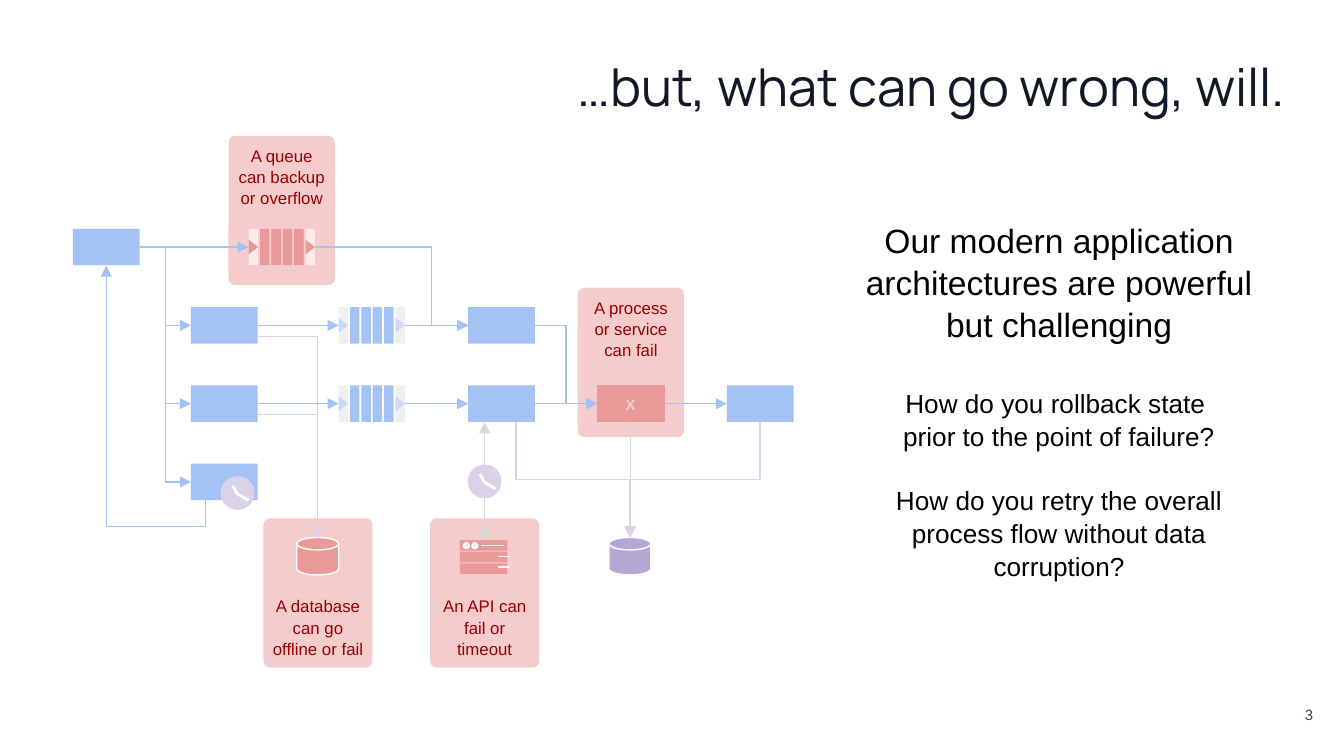
from lxml.etree import SubElement
from pptx import Presentation
from pptx.dml.color import RGBColor
from pptx.enum.shapes import MSO_CONNECTOR as LINK, MSO_SHAPE as SHAPE
from pptx.enum.text import MSO_ANCHOR as ANCHOR, PP_ALIGN as ALIGN
from pptx.oxml.ns import qn
from pptx.util import Cm, Pt

BLUE, LILAC, RED, PINK, WHITE = "A4C2F4", "D9D2E9", "EA9999", "F4CCCC", "FFFFFF"

deck = Presentation()
deck.slide_width, deck.slide_height = Cm(25.4), Cm(14.29)
page = deck.slides.add_slide(deck.slide_layouts[1])


def color(target, value):
    """Colour a font, a fill or a line from a hex string."""
    if hasattr(target, "solid"):
        target.solid()
        target = target.fore_color
    else:
        target = target.color
    target.rgb = RGBColor.from_string(value)


def write(frame, text, size, ink, font="Arial", align=ALIGN.CENTER, anchor=ANCHOR.TOP,
          inset=0.25, bold=False, before=0, spacing=1.05, new=False):
    """Add one formatted paragraph to a text frame."""
    frame.word_wrap = True
    frame.vertical_anchor = anchor
    frame.margin_left = frame.margin_right = Cm(inset)
    frame.margin_top = frame.margin_bottom = Cm(inset)
    para = frame.add_paragraph() if new else frame.paragraphs[0]
    para.text = text
    para.alignment, para.line_spacing = align, spacing
    para.space_before = Pt(before)
    for span in para.runs:
        span.font.name, span.font.size, span.font.bold = font, Pt(size), bold
        color(span.font, ink)
    return para


# Title
title = page.shapes.title
title.left, title.top, title.width, title.height = Cm(8.36), Cm(0.81), Cm(16.18), Cm(1.6)
write(title.text_frame, "…but, what can go wrong, will.", 28, "111827", font="Manrope",
      align=ALIGN.RIGHT, anchor=ANCHOR.MIDDLE, spacing=1)

# Questions on the right
body = page.placeholders[1]
body.left, body.top, body.width, body.height = Cm(15.8), Cm(3.86), Cm(8.43), Cm(7.19)
questions = [
    ("Our modern application architectures are powerful but challenging", 18, 0),
    ("How do you rollback state \vprior to the point of failure?", 14, 22),
    ("How do you retry the overall process flow without data corruption?", 14, 17),
]
for index, (text, size, before) in enumerate(questions):
    para = write(body.text_frame, text, size, "000000", before=before, new=index > 0)
    properties = para._p.get_or_add_pPr()
    properties.set("marL", "0")
    properties.set("indent", "0")
    SubElement(properties, qn("a:buNone"))

# Page number
number = page.shapes.add_textbox(Cm(23.55), Cm(12.95), Cm(1.52), Cm(1.09))
write(number.text_frame, "3", 8, "394956", align=ALIGN.RIGHT, anchor=ANCHOR.MIDDLE)

# Diagram grid
box_width, box_height = 1.26, 0.69
columns = [1.38, 3.61, 8.85, 11.29, 13.74]
rights = [left + box_width for left in columns]
rows = [4.67 + 1.48 * step for step in range(4)]
queues = [(4.7, rows[0], RED, "FFEAEA", RED),
          (6.4, rows[1], BLUE, "EFEFEF", "C9DAF8"),
          (6.4, rows[2], BLUE, "EFEFEF", "C9DAF8")]
disks = [(11.51, "B4A7D6"), (5.61, RED)]
clocks = [(8.84, 8.78), (4.17, 9.0)]
slat_width, slat_step = 0.18, 0.215

# Failure panels
panels = [
    (8.13, 9.8, 2.06, "An API can fail or timeout", ANCHOR.BOTTOM),
    (4.98, 9.8, 2.06, "A database can go offline or fail", ANCHOR.BOTTOM),
    (10.92, 5.44, 2.01, "A process or service can fail", ANCHOR.TOP),
    (4.32, 2.57, 2.01, "A queue can backup or overflow", ANCHOR.TOP),
]
shapes = []  # (kind, left, top, width, height, fill, outline)
for left, top, width, text, anchor in panels:
    panel = page.shapes.add_shape(SHAPE.ROUNDED_RECTANGLE, Cm(left), Cm(top), Cm(width), Cm(2.82))
    panel.adjustments[0] = 0.06
    panel.shadow.inherit = False
    color(panel.fill, PINK)
    panel.line.fill.background()
    write(panel.text_frame, text, 9, "990000", anchor=anchor, inset=0.13)

# Process boxes, databases, queues, server and clock faces
for column, row in [(0, 0), (1, 1), (1, 2), (1, 3), (2, 1), (2, 2), (3, 2), (4, 2)]:
    failing = column == 3
    shapes.append((SHAPE.RECTANGLE, columns[column], rows[row] - box_height / 2, box_width,
                   box_height, RED if failing else BLUE, RED if failing else None))
for left, fill in disks:
    shapes.append((SHAPE.FLOWCHART_MAGNETIC_DISK, left, 10.16, 0.79, 0.71, fill, WHITE))
for left, middle, slat, cap, tip in queues:
    for step in range(6):
        shapes.append((SHAPE.RECTANGLE, left + step * slat_step, middle - box_height / 2,
                       slat_width, box_height, cap if step in (0, 5) else slat, None))
    for step in (0, 5):
        center = left + step * slat_step + slat_width / 2
        shapes.append((SHAPE.ISOSCELES_TRIANGLE, center - 0.14, middle - 0.09,
                       0.28, 0.18, tip, None))
for step in range(3):
    shapes.append((SHAPE.RECTANGLE, 8.69, 10.21 + 0.22 * step, 0.9, 0.2, RED, None))
for left in (8.76, 8.92):
    shapes.append((SHAPE.OVAL, left, 10.26, 0.11, 0.11, "EEEEEE", WHITE))
for left, top in clocks:
    shapes.append((SHAPE.OVAL, left, top, 0.64, 0.64, LILAC, None))

# Connections: start, end, colour, then route options
links = [((rights[0], rows[0]), (queues[0][0], rows[0]), BLUE, {}),
         ((rights[3], rows[2]), (columns[4], rows[2]), BLUE, {}),
         ((rights[2], rows[1]), (columns[3], rows[2]), BLUE, {"bend": 0.5}),
         ((rights[2], rows[2]), (columns[3], rows[2]), BLUE, {}),
         ((5.96, rows[0]), (columns[2], rows[1]), BLUE, {"bend": 0.76}),
         ((11.91, 7.98), (11.91, 10.16), LILAC, {}),
         ((9.75, 7.98), (11.91, 10.16), LILAC, {"bend": 0.5, "turned": True}),
         ((14.36, 7.98), (11.91, 10.16), LILAC, {"bend": 0.5, "turned": True}),
         ((9.16, 7.98), (9.16, 10.21), "D9D9D9", {"both": True}),
         ((3.89, 9.46), (2.01, 5.02), BLUE, {"bend": -0.11, "turned": True})]
for row in rows[1:]:
    links.append(((rights[0], rows[0]), (columns[1], row), BLUE, {"bend": 0.5}))
for row in rows[1:3]:
    links.append(((rights[1], row), (6.4, row), BLUE, {}))
    links.append(((7.66, row), (columns[2], row), BLUE, {}))
    links.append(((rights[1], row + 0.21), (6.0, 10.16), LILAC, {"corner": True}))

# White detail strokes of the server and the clock hands
for start, end in [((9.09, 10.31), (9.53, 10.31)), ((9.42, 10.52), (9.63, 10.52)),
                   ((9.42, 10.72), (9.63, 10.72))]:
    links.append((start, end, WHITE, {"plain": True}))
for left, top in clocks:
    for across, down in [(0.23, 0.18), (0.53, 0.46)]:
        links.append(((left + across, top + down), (left + 0.31, top + 0.33), WHITE,
                      {"plain": True, "weight": 1.5}))

# Draw the arrows beneath the clocks, the strokes above all shapes
arrows = [link for link in links if not link[3].get("plain")]
strokes = [link for link in links if link[3].get("plain")]
for item in shapes[:-len(clocks)] + arrows + shapes[-len(clocks):] + strokes:
    if len(item) == 7:
        kind, left, top, width, height, fill, outline = item
        shape = page.shapes.add_shape(kind, Cm(left), Cm(top), Cm(width), Cm(height))
        shape.shadow.inherit = False
        color(shape.fill, fill)
        if outline:
            color(shape.line, outline)
            shape.line.width = Pt(0.75)
        else:
            shape.line.fill.background()
        if kind == SHAPE.ISOSCELES_TRIANGLE:
            shape.rotation = 90
        if kind == SHAPE.RECTANGLE and outline:
            write(shape.text_frame, "X", 8, PINK, anchor=ANCHOR.MIDDLE, inset=0, bold=True)
        continue

    (x1, y1), (x2, y2), ink, route = item
    turn = 0
    if route.get("turned"):  # leaves vertically: lay the elbow on its side, then rotate
        turn = 90 if x2 < x1 else 270
        sign = 1 if turn == 90 else -1
        mid_x, mid_y = (x1 + x2) / 2, (y1 + y2) / 2
        half_x, half_y = sign * (x2 - x1) / 2, sign * (y2 - y1) / 2
        x1, y1, x2, y2 = mid_x - half_y, mid_y + half_x, mid_x + half_y, mid_y - half_x
    elbow = "bend" in route or "corner" in route
    link = page.shapes.add_connector(LINK.ELBOW if elbow else LINK.STRAIGHT,
                                     Cm(x1), Cm(y1), Cm(x2), Cm(y2))
    color(link.line, ink)
    link.line.width = Pt(route.get("weight", 0.75))
    properties = link._element.spPr
    SubElement(properties, qn("a:effectLst"))
    geometry = properties.find(qn("a:prstGeom"))
    if turn:
        properties.find(qn("a:xfrm")).set("rot", str(turn * 60000))
    if "corner" in route:
        geometry.set("prst", "bentConnector2")
    if "bend" in route:
        SubElement(geometry.find(qn("a:avLst")), qn("a:gd"), name="adj1",
                   fmla=f"val {round(route['bend'] * 100000)}")
    if not route.get("plain"):
        for tag in ("a:headEnd", "a:tailEnd") if route.get("both") else ("a:tailEnd",):
            SubElement(link.line._get_or_add_ln(), qn(tag), type="triangle")

deck.save("out.pptx")
